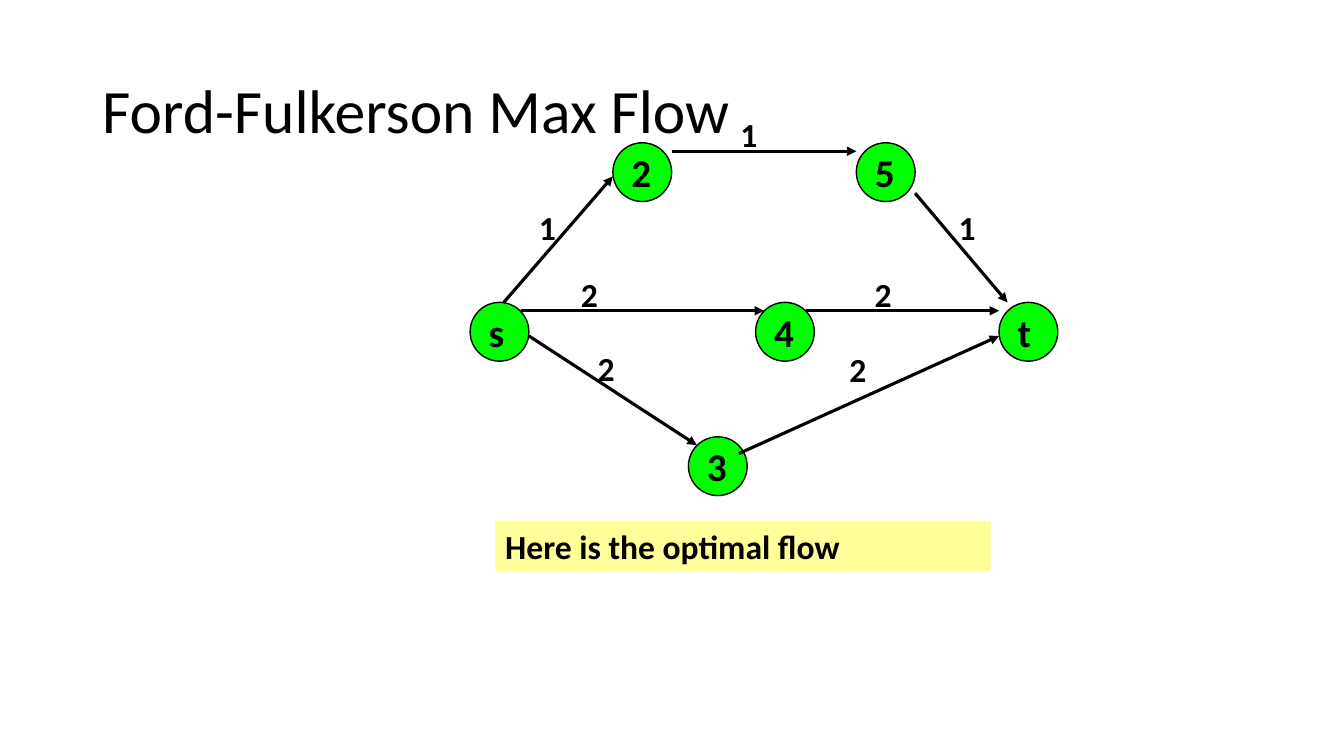
import pptx
import pptx.util
import pptx.dml.color
import pptx.enum.shapes
import pptx.enum.text
import pptx.oxml.ns
import lxml.etree

COLORS = {"ink": "000000", "node": "00FF00", "caption": "FFFF99"}
UNIT = pptx.util.Inches(1) / 12
NODE_SIZE = 7
MIDDLE = pptx.enum.text.MSO_ANCHOR.MIDDLE
TOP = pptx.enum.text.MSO_ANCHOR.TOP


def grid(*cells):
    return [round(cell * UNIT) for cell in cells]


def write_text(shape, text, size, bold=True, wrap=True, anchor=TOP, spacing=1.0):
    frame = shape.text_frame
    frame.word_wrap = wrap
    frame.vertical_anchor = anchor
    paragraph = frame.paragraphs[0]
    paragraph.text = text
    paragraph.alignment = pptx.enum.text.PP_ALIGN.LEFT
    paragraph.line_spacing = spacing
    font_format = {"name": "Calibri", "size": pptx.util.Pt(size), "bold": bold}
    for name, value in font_format.items():
        setattr(paragraph.font, name, value)
    paragraph.font.color.rgb = pptx.dml.color.RGBColor.from_string(COLORS["ink"])


presentation = pptx.Presentation()
slide_format = {"slide_width": pptx.util.Inches(13.34), "slide_height": pptx.util.Inches(7.5)}
for name, value in slide_format.items():
    setattr(presentation, name, value)
slide = presentation.slides.add_slide(presentation.slide_layouts[6])

title = slide.shapes.add_textbox(*grid(11, 4.8, 138, 17.4))
write_text(title, "Ford-Fulkerson Max Flow", 44, bold=False, anchor=MIDDLE, spacing=0.9)

flow_labels = [
    ("1", 87, 13),
    ("1", 113, 24),
    ("2", 103, 32),
    ("2", 100, 41),
    ("2", 68, 32),
    ("1", 63, 24),
    ("2", 70, 40.8),
]
for flow, column, row in flow_labels:
    label = slide.shapes.add_textbox(*grid(column, row, NODE_SIZE, 6))
    write_text(label, flow, 24)

nodes = [
    ("s", 56, 36),
    ("2", 73, 17),
    ("4", 90, 36),
    ("5", 102, 17),
    ("3", 82, 52),
    ("t", 119, 36),
]
for node_name, column, row in nodes:
    node = slide.shapes.add_shape(
        pptx.enum.shapes.MSO_SHAPE.OVAL, *grid(column, row, NODE_SIZE, NODE_SIZE)
    )
    node.shadow.inherit = False
    node.fill.solid()
    node.fill.fore_color.rgb = pptx.dml.color.RGBColor.from_string(COLORS["node"])
    node.line.color.rgb = pptx.dml.color.RGBColor.from_string(COLORS["ink"])
    node.line.width = pptx.util.Pt(1)
    write_text(node, node_name, 28, wrap=False, anchor=MIDDLE)

edges = [
    (63, 40, 83, 53),
    (60, 36, 73, 21),
    (62, 37, 91, 37),
    (80, 18, 102, 18),
    (96, 37, 119, 37),
    (88, 54, 119, 40),
    (109, 23, 120, 36),
]
for edge in edges:
    arrow = slide.shapes.add_connector(pptx.enum.shapes.MSO_CONNECTOR.STRAIGHT, *grid(*edge))
    arrow.line.color.rgb = pptx.dml.color.RGBColor.from_string(COLORS["ink"])
    arrow.line.width = pptx.util.Pt(2.25)
    line = arrow.line._get_or_add_ln()
    lxml.etree.SubElement(line, pptx.oxml.ns.qn("a:tailEnd"), type="triangle")
    lxml.etree.SubElement(arrow._element.spPr, pptx.oxml.ns.qn("a:effectLst"))

caption = slide.shapes.add_shape(
    pptx.enum.shapes.MSO_SHAPE.RECTANGLE, *grid(59, 62, 59, 6)
)
caption.shadow.inherit = False
caption.fill.solid()
caption.fill.fore_color.rgb = pptx.dml.color.RGBColor.from_string(COLORS["caption"])
caption.line.fill.background()
write_text(caption, "Here is the optimal flow", 24)

presentation.save("out.pptx")
